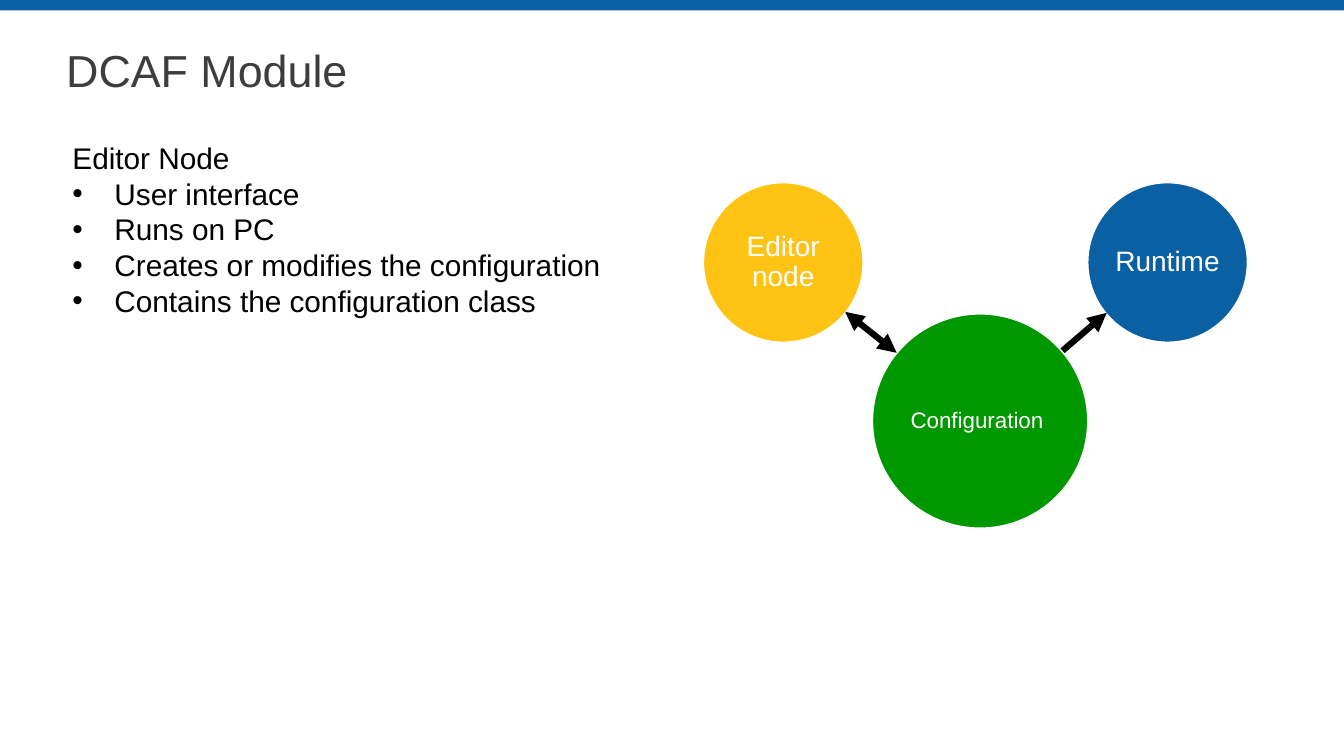
import pptx
import pptx.util
import pptx.dml.color
import pptx.enum.shapes
import pptx.enum.text
import pptx.oxml.ns
from lxml import etree

PX = 9525  # EMU per pixel, 96 pixels to the inch
RGB = pptx.dml.color.RGBColor
BLUE = RGB(0x0A, 0x60, 0xA3)
GREEN = RGB(0x00, 0x98, 0x00)
YELLOW = RGB(0xFE, 0xC3, 0x13)
GRAY = RGB(0x3D, 0x3D, 0x3D)
WHITE = RGB(0xFF, 0xFF, 0xFF)
BLACK = RGB(0x00, 0x00, 0x00)
ANCHOR = pptx.enum.text.MSO_ANCHOR
ALIGN = pptx.enum.text.PP_ALIGN
SHAPE = pptx.enum.shapes.MSO_SHAPE
qn = pptx.oxml.ns.qn


def format_text(text_frame, size, color, anchor, align, spacing, margins):
    """Format all text; margins are the side and the top/bottom insets in px."""
    text_frame.word_wrap = True
    text_frame.auto_size = pptx.enum.text.MSO_AUTO_SIZE.NONE
    text_frame.vertical_anchor = anchor
    text_frame.margin_left = text_frame.margin_right = margins[0] * PX
    text_frame.margin_top = text_frame.margin_bottom = margins[1] * PX
    for paragraph in text_frame.paragraphs:
        paragraph.alignment = align
        paragraph.line_spacing = spacing
        for run in paragraph.runs:
            run.font.name = "Arial"
            run.font.size = pptx.util.Pt(size)
            run.font.color.rgb = color


def add_filled(kind, left, top, width, height, color):
    shape = slide.shapes.add_shape(kind, left * PX, top * PX, width * PX, height * PX)
    shape.shadow.inherit = False
    shape.fill.solid()
    shape.fill.fore_color.rgb = color
    shape.line.fill.background()
    return shape


presentation = pptx.Presentation()
presentation.slide_width = 1280 * PX
presentation.slide_height = 720 * PX
slide = presentation.slides.add_slide(presentation.slide_layouts[5])

add_filled(SHAPE.RECTANGLE, 0, 0, 1280, 10, BLUE)

title = slide.shapes.title
title.left, title.top, title.width, title.height = 63 * PX, 38 * PX, 1152 * PX, 64 * PX
title.text_frame.text = "DCAF Module"
format_text(title.text_frame, 32, GRAY, ANCHOR.MIDDLE, ALIGN.LEFT, 0.9, (0, 5))

# Circles: text, left, top, width, height, color, font size
circles = [
    ("Configuration ", 831, 299, 205, 204, GREEN, 16),
    ("Editor node", 670, 174, 152, 152, YELLOW, 20),
    ("Runtime", 1036, 174, 152, 152, BLUE, 20),
]
for text, left, top, width, height, color, size in circles:
    circle = add_filled(SHAPE.OVAL, left, top, width, height, color)
    circle.line.color.rgb = WHITE
    circle.line.width = pptx.util.Pt(1)
    circle.text_frame.text = text
    format_text(circle.text_frame, size, WHITE, ANCHOR.MIDDLE, ALIGN.CENTER, 0.9, (1, 1))

# Arrows: start, end, ends that carry a head
arrows = [
    ((854, 336), (805, 297), ("headEnd", "tailEnd")),
    ((1012, 334), (1054, 298), ("tailEnd",)),
]
for start, end, heads in arrows:
    arrow = slide.shapes.add_connector(
        pptx.enum.shapes.MSO_CONNECTOR.STRAIGHT,
        start[0] * PX, start[1] * PX, end[0] * PX, end[1] * PX)
    arrow.line.color.rgb = BLACK
    arrow.line.width = pptx.util.Pt(4.5)
    properties = arrow.element.spPr
    line = properties.find(qn("a:ln"))
    for head in heads:
        etree.SubElement(line, qn(f"a:{head}"), type="triangle")
    etree.SubElement(properties, qn("a:effectLst"))

description = slide.shapes.add_textbox(69 * PX, 128 * PX, 595 * PX, 216 * PX)
description.text_frame.text = "\n".join([
    "Editor Node",
    "User interface",
    "Runs on PC",
    "Creates or modifies the configuration",
    "Contains the configuration class",
])
format_text(description.text_frame, 21.3, BLACK, ANCHOR.TOP, ALIGN.LEFT, 1.0, (0, 5))
for paragraph in description.text_frame.paragraphs[1:]:
    properties = paragraph._p.get_or_add_pPr()
    properties.set("marL", str(40 * PX))
    properties.set("indent", str(-40 * PX))
    etree.SubElement(properties, qn("a:buFont"), typeface="Arial")
    etree.SubElement(properties, qn("a:buChar"), char="•")

presentation.save("out.pptx")
